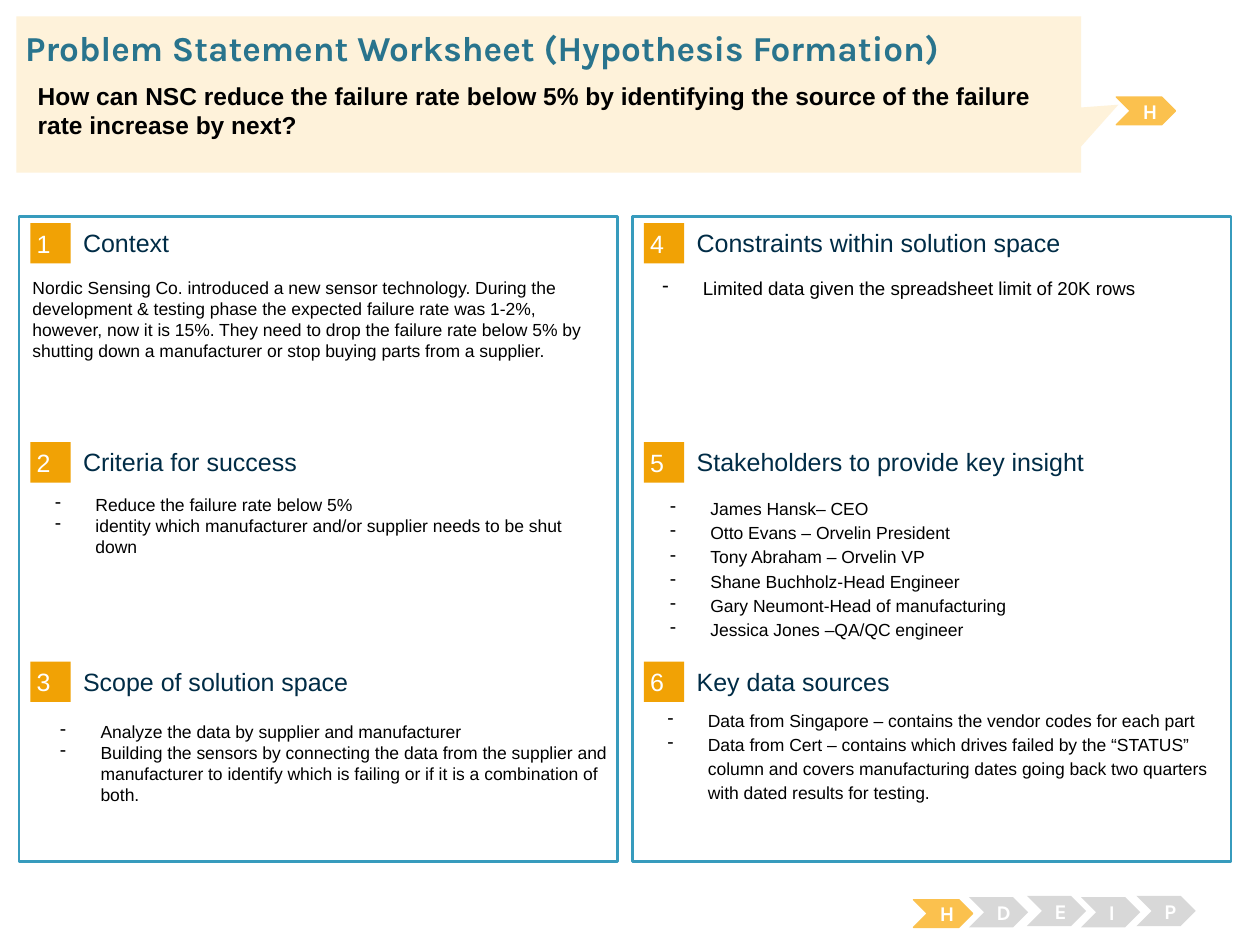
from dataclasses import dataclass
from typing import Optional

import lxml.etree
import pptx
import pptx.dml.color
import pptx.enum.shapes
import pptx.enum.text
import pptx.oxml.ns
import pptx.util

Inches = pptx.util.Inches
ShapeType = pptx.enum.shapes.MSO_SHAPE
Anchor = pptx.enum.text.MSO_ANCHOR
Align = pptx.enum.text.PP_ALIGN


@dataclass(frozen=True)
class Theme:
    white: str = "FFFFFF"
    black: str = "000000"
    panel_line: str = "379BBD"
    number_fill: str = "F1A205"
    heading: str = "002C46"
    active: str = "FBC14E"
    inactive: str = "D8D8D8"
    callout: str = "FEF2DA"
    title: str = "29748D"
    text_font: str = "Arial"
    display_font: str = "Karla"
    title_size: float = 20
    question_size: float = 14
    heading_size: float = 14.3
    step_size: float = 12
    body_size: float = 10


@dataclass(frozen=True)
class Box:
    left: float
    top: float
    width: float
    height: float

    def lengths(self) -> list:
        return [Inches(value) for value in (self.left, self.top, self.width, self.height)]


@dataclass(frozen=True)
class Style:
    size: float
    color: str
    font: str
    bold: bool = False


@dataclass(frozen=True)
class Section:
    """One worksheet section; body_left and body_top are offsets from its grid cell."""
    heading: str
    lines: tuple
    body_left: float
    body_top: float
    bulleted: bool = True
    size: float = Theme.body_size
    spacing: Optional[float] = None


@dataclass(frozen=True)
class Step:
    letter: str
    left: float
    top: float
    active: bool = False


THEME = Theme()
SLIDE_WIDTH, SLIDE_HEIGHT = 10, 7.5
GRID_LEFT, GRID_TOP = 0.15, 1.72
COLUMN_PITCH, ROW_PITCH, ROWS = 4.87, 1.74, 3
PANEL_WIDTH, PANEL_HEIGHT = 4.75, 5.12
BODY_INSETS = (0.1, 0.05, 0.1, 0.05)
NO_INSETS = (0, 0, 0, 0)

SECTIONS = (
    Section("Context", (
        "Nordic Sensing Co. introduced a new sensor technology. During the development & testing "
        "phase the expected failure rate was 1-2%, however, now it is 15%. They need to drop the "
        "failure rate below 5% by shutting down a manufacturer or stop buying parts from a supplier.",
    ), 0.01, 0.43, bulleted=False),
    Section("Criteria for success", (
        "Reduce the failure rate below 5%",
        "identity which manufacturer and/or supplier needs to be shut down",
    ), 0.01, 0.41),
    Section("Scope of solution space", (
        "Analyze the data by supplier and manufacturer",
        "Building the sensors by connecting the data from the supplier and manufacturer to identify "
        "which is failing or if it is a combination of both.",
    ), 0.05, 0.47),
    Section("Constraints within solution space", (
        "Limited data given the spreadsheet limit of 20K rows",
    ), -0.04, 0.43, size=10.7),
    Section("Stakeholders to provide key insight", (
        "James Hansk– CEO",
        "Otto Evans – Orvelin President",
        "Tony Abraham – Orvelin VP",
        "Shane Buchholz-Head Engineer",
        "Gary Neumont-Head of manufacturing",
        "Jessica Jones –QA/QC engineer",
    ), 0.02, 0.42, spacing=1.15),
    Section("Key data sources", (
        "Data from Singapore – contains the vendor codes for each part",
        "Data from Cert – contains which drives failed by the “STATUS” column and covers "
        "manufacturing dates going back two quarters with dated results for testing.",
    ), 0, 0.36, spacing=1.15),
)

STEPS = (
    Step("H", 7.25, 7.14, active=True),
    Step("D", 7.69, 7.12),
    Step("E", 8.15, 7.11),
    Step("I", 8.58, 7.12),
    Step("P", 9.02, 7.11),
    Step("H", 8.86, 0.77, active=True),
)


def rgb(color: str) -> pptx.dml.color.RGBColor:
    return pptx.dml.color.RGBColor.from_string(color)


def add_bullet(paragraph) -> None:
    properties = paragraph._p.get_or_add_pPr()
    properties.set("marL", str(Inches(0.5)))
    properties.set("indent", str(Inches(-0.32)))
    bullet = lxml.etree.SubElement(properties, pptx.oxml.ns.qn("a:buChar"))
    bullet.set("char", "-")


def write(shape, lines: tuple, style: Style, insets: tuple = BODY_INSETS, anchor=Anchor.TOP,
          align=Align.LEFT, bulleted: bool = False, spacing: Optional[float] = None) -> None:
    frame = shape.text_frame
    frame.word_wrap = True
    frame.auto_size = pptx.enum.text.MSO_AUTO_SIZE.NONE
    frame.vertical_anchor = anchor
    (frame.margin_left, frame.margin_top,
     frame.margin_right, frame.margin_bottom) = (Inches(inset) for inset in insets)
    for index, line in enumerate(lines):
        paragraph = frame.add_paragraph() if index else frame.paragraphs[0]
        paragraph.alignment = align
        if spacing:
            paragraph.line_spacing = spacing
        if bulleted:
            add_bullet(paragraph)
        run = paragraph.add_run()
        run.text = line
        run.font.size = pptx.util.Pt(style.size)
        run.font.name = style.font
        run.font.bold = style.bold
        run.font.color.rgb = rgb(style.color)


def add_shape(slide, kind, box: Box, fill: str, line: Optional[str] = None, line_width: float = 0.75):
    shape = slide.shapes.add_shape(kind, *box.lengths())
    shape.shadow.inherit = False
    shape.fill.solid()
    shape.fill.fore_color.rgb = rgb(fill)
    if line:
        shape.line.color.rgb = rgb(line)
        shape.line.width = pptx.util.Pt(line_width)
    else:
        shape.line.fill.background()
    return shape


def add_text(slide, box: Box, lines: tuple, style: Style, **options) -> None:
    write(slide.shapes.add_textbox(*box.lengths()), lines, style, **options)


def add_section(slide, index: int, section: Section) -> None:
    column, row = divmod(index, ROWS)
    left, top = GRID_LEFT + column * COLUMN_PITCH, GRID_TOP + row * ROW_PITCH
    number = add_shape(slide, ShapeType.RECTANGLE, Box(left + 0.09, top + 0.05, 0.32, 0.32),
                       THEME.number_fill)
    write(number, (str(index + 1),), Style(THEME.heading_size, THEME.white, THEME.text_font),
          insets=(0.05,) * 4, anchor=Anchor.MIDDLE)
    add_text(slide, Box(left + 0.51, top + 0.08, 3.93, 0.25), (section.heading,),
             Style(THEME.heading_size, THEME.heading, THEME.text_font),
             insets=NO_INSETS, anchor=Anchor.MIDDLE)
    add_text(slide, Box(left + section.body_left, top + section.body_top, 4.73, 1.27), section.lines,
             Style(section.size, THEME.black, THEME.text_font),
             bulleted=section.bulleted, spacing=section.spacing)


def add_step(slide, step: Step) -> None:
    fill = THEME.active if step.active else THEME.inactive
    box = Box(step.left, step.top, 0.47, 0.22 if step.active else 0.24)
    chevron = add_shape(slide, ShapeType.CHEVRON, box, fill, fill if step.active else None)
    write(chevron, (step.letter,), Style(THEME.step_size, THEME.white, THEME.display_font, True),
          anchor=Anchor.MIDDLE, align=Align.CENTER)


def add_header(slide) -> None:
    callout = add_shape(slide, ShapeType.RECTANGULAR_CALLOUT, Box(0.13, 0.13, 8.45, 1.24), THEME.callout)
    callout.adjustments[0], callout.adjustments[1] = 0.535, 0.066
    title = slide.shapes.title
    title.left, title.top, title.width, title.height = Box(0.2, 0.21, 9.62, 0.34).lengths()
    write(title, ("Problem Statement Worksheet (Hypothesis Formation)",),
          Style(THEME.title_size, THEME.title, THEME.display_font, True), insets=NO_INSETS)
    callout._element.addnext(title._element)  # keeps the title in front of the callout
    add_text(slide, Box(0.2, 0.59, 8.38, 0.54),
             ("How can NSC reduce the failure rate below 5% by identifying the source of the "
              "failure rate increase by next?",),
             Style(THEME.question_size, THEME.black, THEME.text_font, True))


def main() -> None:
    presentation = pptx.Presentation()
    presentation.slide_width, presentation.slide_height = Inches(SLIDE_WIDTH), Inches(SLIDE_HEIGHT)
    slide = presentation.slides.add_slide(presentation.slide_layouts[5])
    for column in range(2):
        add_shape(slide, ShapeType.RECTANGLE,
                  Box(GRID_LEFT + column * COLUMN_PITCH, GRID_TOP, PANEL_WIDTH, PANEL_HEIGHT),
                  THEME.white, THEME.panel_line, 1.5)
    for index, section in enumerate(SECTIONS):
        add_section(slide, index, section)
    for step in STEPS:
        add_step(slide, step)
    add_header(slide)
    presentation.save("out.pptx")


if __name__ == "__main__":
    main()
